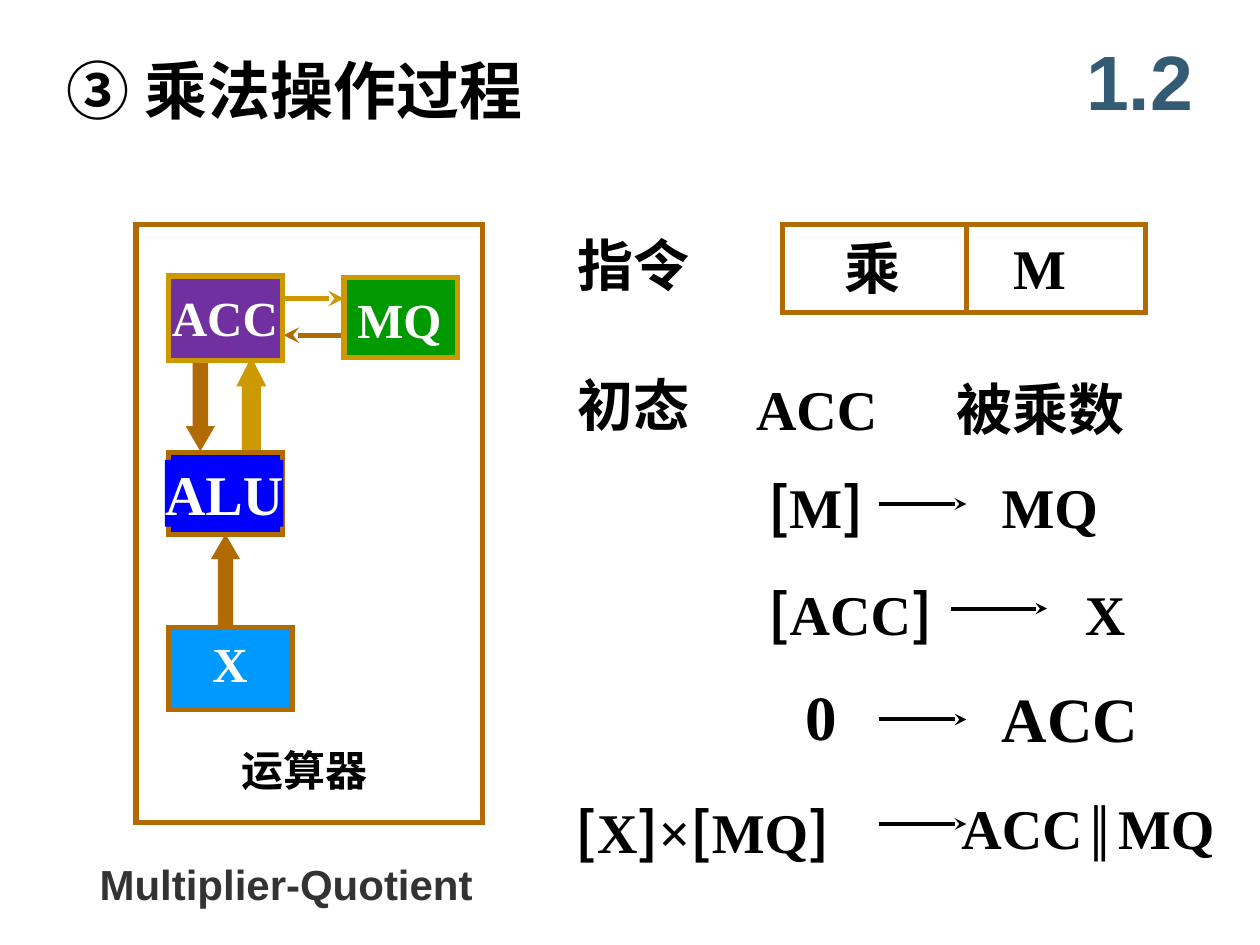
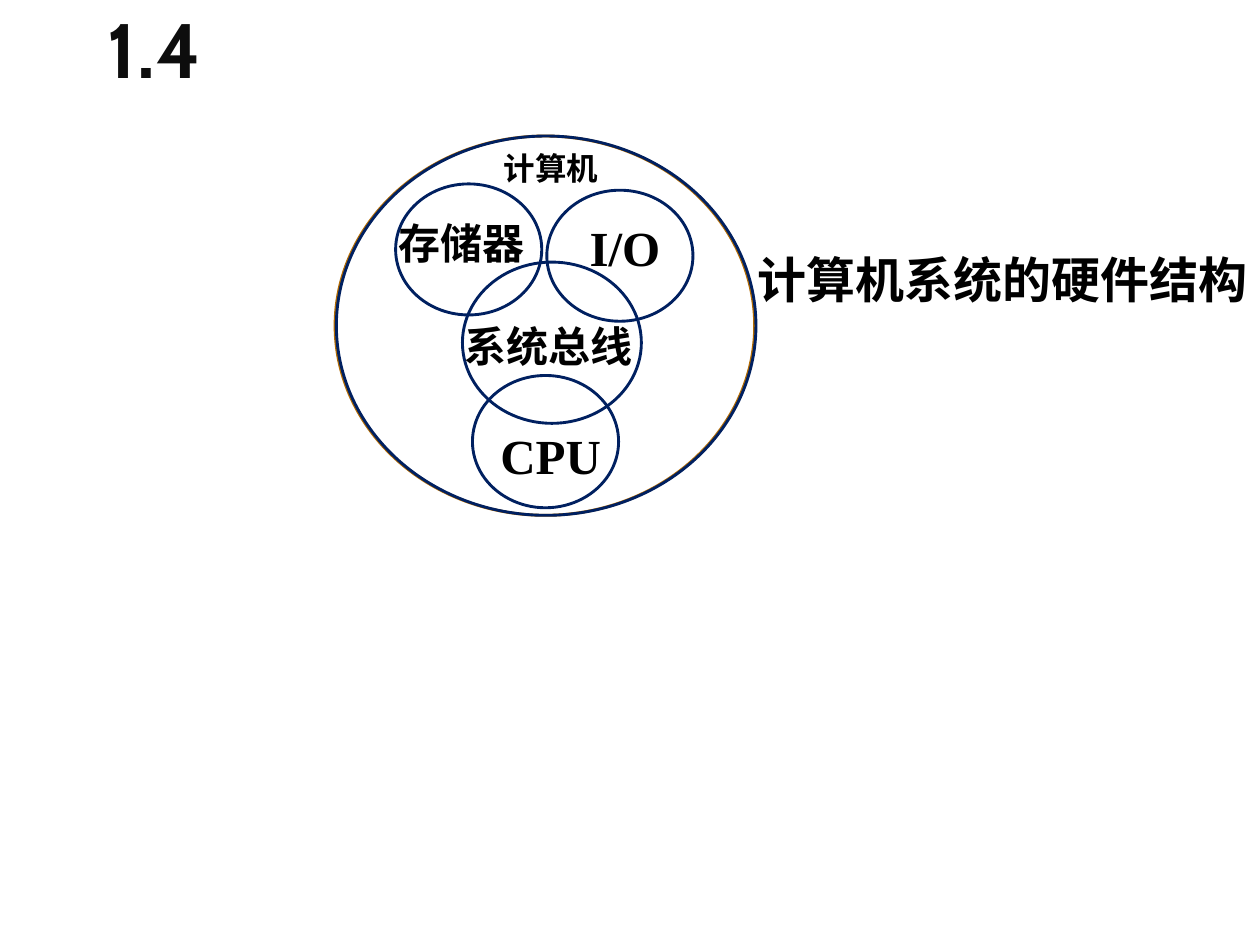
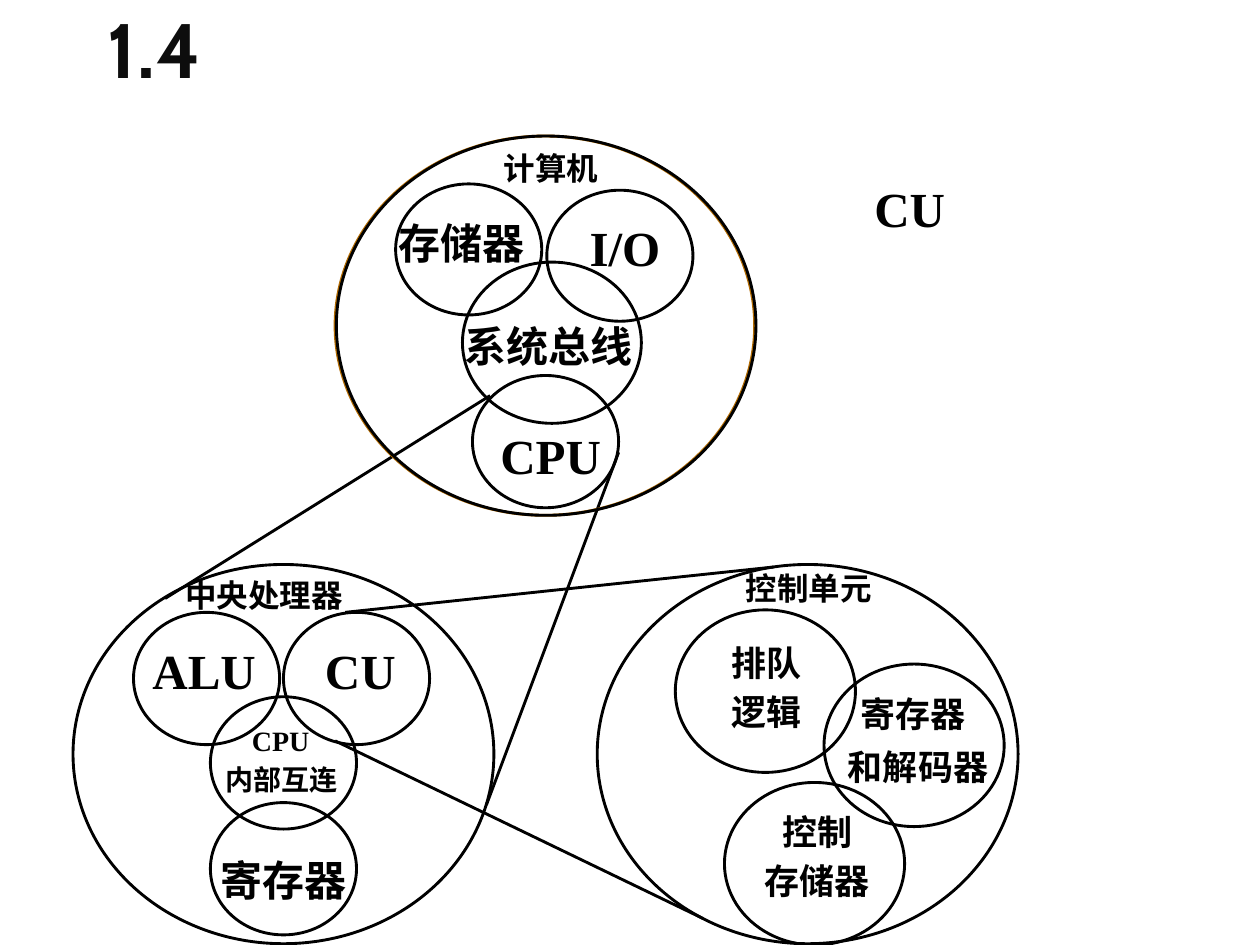
from lxml import etree
from pptx import Presentation, util as u
from pptx.dml import color
from pptx.enum import shapes, text
from pptx.oxml import ns

PX = 9144
HAN, SERIF, SANS, HEADING = "Noto Sans CJK SC", "Times New Roman", "Arial", "Cabin"
BLACK, WHITE, NAVY, BROWN, GOLD = "000000", "FFFFFF", "002060", "B26B02", "CC9900"
PURPLE, BLUE, SKY, GREEN = "7030A0", "0000FF", "0099FF", "009900"
LEFT, CENTER = text.PP_ALIGN.LEFT, text.PP_ALIGN.CENTER
RECT, OVAL, UP = (shapes.MSO_SHAPE.RECTANGLE, shapes.MSO_SHAPE.OVAL,
                  shapes.MSO_SHAPE.UP_ARROW)
THIN, MEDIUM, THICK = 1.63, 2.25, 3


def rgb(value):
    return color.RGBColor.from_string(value)


def px(*lengths):
    return [u.Emu(length * PX) for length in lengths]


class Deck:
    """Holds the shared style and the slide being drawn."""

    def __init__(self):
        self.prs = Presentation()
        self.prs.slide_width, self.prs.slide_height = px(1000, 750)

    def new_slide(self):
        self.slide = self.prs.slides.add_slide(self.prs.slide_layouts[6])

    def label(self, box, lines, size, font=HAN, ink=BLACK, align=LEFT,
              middle=False, spacing=None, tab=None, tracking=0):
        frame = self.slide.shapes.add_textbox(*px(*box)).text_frame
        frame.margin_left = frame.margin_right = 0
        frame.margin_top = frame.margin_bottom = 0
        frame.word_wrap = middle
        if middle:
            frame.vertical_anchor = text.MSO_ANCHOR.MIDDLE
        else:
            frame.auto_size = text.MSO_AUTO_SIZE.SHAPE_TO_FIT_TEXT
        for number, line in enumerate([lines] if isinstance(lines, str) else lines):
            paragraph = frame.add_paragraph() if number else frame.paragraphs[0]
            self.fill_line(paragraph, line, size, font, ink, tab, tracking)
            paragraph.alignment = align
            if number:
                paragraph.space_before = u.Pt(size * 0.2)
            if spacing:
                paragraph.line_spacing = spacing

    def fill_line(self, paragraph, line, size, font, ink, tab, tracking):
        properties = paragraph._p.get_or_add_pPr()
        if tab:
            stops = etree.SubElement(properties, ns.qn("a:tabLst"))
            etree.SubElement(stops, ns.qn("a:tab"), pos=str(tab * PX), algn="l")
        style = paragraph.font
        style.size, style.bold, style.name = u.Pt(size), True, font
        style.color.rgb = rgb(ink)
        defaults = properties.find(ns.qn("a:defRPr"))
        etree.SubElement(defaults, ns.qn("a:ea"), typeface=HAN)
        if tracking:
            defaults.set("spc", str(tracking))
        for piece in [(line, font, size)] if isinstance(line, str) else line:
            run = paragraph.add_run()
            run.text = piece[0]
            if piece[1] != font:
                run.font.name = piece[1]
            if piece[2] != size:
                run.font.size = u.Pt(piece[2])

    def outline(self, kind, box, line, width, fill=None, turn=0, adjust=()):
        shape = self.slide.shapes.add_shape(kind, *px(*box))
        shape.shadow.inherit = False
        shape.rotation = turn
        for index, value in enumerate(adjust):
            shape.adjustments[index] = value
        if fill:
            shape.fill.solid()
            shape.fill.fore_color.rgb = rgb(fill)
        else:
            shape.fill.background()
        if line:
            shape.line.color.rgb = rgb(line)
            shape.line.width = u.Pt(width)
            etree.SubElement(shape._element.spPr.find(ns.qn("a:ln")),
                             ns.qn("a:miter"), lim="800000")
        else:
            shape.line.fill.background()

    def line(self, ends, ink, width, arrow=False):
        connector = self.slide.shapes.add_connector(
            shapes.MSO_CONNECTOR.STRAIGHT, *px(*ends))
        connector.line.color.rgb = rgb(ink)
        connector.line.width = u.Pt(width)
        properties = connector._element.spPr
        if arrow:
            etree.SubElement(properties.find(ns.qn("a:ln")), ns.qn("a:tailEnd"),
                             type="stealth")
        etree.SubElement(properties, ns.qn("a:effectLst"))

    def circles(self, boxes, ink):
        for box in boxes:
            self.outline(OVAL, box, ink, THIN)

    def section(self, number):
        self.label((85, -13, 830, 115), number, 44, HEADING, "0D0D0D",
                   middle=True, spacing=0.8, tracking=100)


def bracketed(*names):
    return [piece for name in names
            for piece in (("[", HAN, 32), (name, SERIF, 32), ("]", HAN, 32))]


def arithmetic_unit(deck):
    deck.outline(RECT, (108, 178, 275, 475), BROWN, THICK)
    deck.label((192, 591, 101, 40), "运算器", 24)
    deck.line((273, 266, 225, 266), BROWN, THICK, arrow=True)
    deck.line((225, 237, 273, 237), GOLD, THICK, arrow=True)
    for box, turn in (((171, 428, 16, 69), 0), ((151, 285, 16, 69), 180)):
        deck.outline(UP, box, BROWN, THICK, BROWN, turn, (0.5, 0.86))
    deck.outline(UP, (191, 288, 17, 67), GOLD, THICK, GOLD, adjust=(0.64, 0.98))
    for name, box, edge, fill, patch, size in (
            ("X", (134, 498, 98, 65), BROWN, SKY, (167, 503, 31, 47), 28),
            ("ALU", (134, 359, 90, 65), BROWN, BLUE, (131, 365, 94, 53), 32),
            ("ACC", (134, 219, 90, 67), GOLD, PURPLE, (136, 228, 85, 48), 28),
            ("MQ", (273, 220, 90, 64), GOLD, GREEN, (283, 230, 68, 48), 28)):
        deck.outline(RECT, box, edge, THICK, fill)
        deck.outline(RECT, patch, None, 0, fill)
        deck.label(patch, name, size, SERIF, WHITE, CENTER)
    deck.label((79, 681, 299, 41), "Multiplier-Quotient", 24, SANS, "333333")


def multiplication(deck):
    deck.new_slide()
    deck.label((53, 41, 365, 60), "③ 乘法操作过程", 36)
    deck.label((852, 17, 105, 92), "1.2", 44, SANS, "335B74", CENTER, middle=True)
    arithmetic_unit(deck)

    deck.label((458, 183, 112, 53), "指令", 32)
    deck.outline(RECT, (621, 178, 288, 70), BROWN, THICK)
    deck.line((767, 177, 767, 249), BROWN, THICK)
    deck.label((670, 185, 45, 53), "乘", 32)
    deck.label((804, 185, 42, 53), "M", 32, SERIF)

    deck.label((458, 294, 112, 53), "初态", 32)
    deck.label((600, 297, 331, 53), [[("ACC\t", SERIF, 32), ("被乘数", HAN, 32)]],
               32, tab=159)
    deck.label((604, 375, 87, 53), [bracketed("M")], 32, align=CENTER)
    deck.label((795, 375, 77, 53), "MQ", 32, SERIF)
    deck.label((596, 460, 158, 53), [bracketed("ACC")], 32, align=CENTER)
    deck.label((861, 460, 38, 53), "X", 32, SERIF)
    deck.label((639, 538, 25, 60), "0", 36, SERIF)
    deck.label((795, 539, 112, 60), "ACC", 36, SERIF)
    product = bracketed("X", "MQ")
    product.insert(3, ("×", SERIF, 32))
    deck.label((457, 633, 242, 53), [product], 32)
    deck.label((763, 630, 212, 53),
               [[("ACC", SERIF, 32), ("∥", SERIF, 28), ("MQ", SERIF, 32)]], 32, SERIF)
    for start, end, y in ((698, 767, 400), (755, 831, 483), (698, 767, 571),
                          (698, 767, 654)):
        deck.line((start, y, end, y), BLACK, MEDIUM, arrow=True)


def computer(deck, ink):
    deck.label((400, 118, 76, 30), "计算机", 18)
    deck.circles([(266, 108, 333, 301)], BROWN)
    deck.circles([(367, 208, 142, 128), (314, 146, 116, 104), (434, 151, 116, 104),
                  (375, 298, 116, 105), (267, 108, 333, 301)], ink)
    deck.label((455, 173, 82, 47), "I/O", 28, SERIF, align=CENTER)
    deck.label((368, 254, 135, 40), "系统总线", 24, align=CENTER)
    deck.label((316, 173, 101, 40), "存储器", 24)
    deck.label((397, 338, 80, 47), "CPU", 28, SERIF, align=CENTER)


def hardware(deck):
    deck.new_slide()
    deck.section("1.4")
    deck.label((601, 198, 389, 47), "计算机系统的硬件结构", 28, align=CENTER)
    computer(deck, NAVY)


def processor(deck):
    deck.circles([(167, 553, 116, 105), (106, 486, 116, 105), (225, 486, 116, 105),
                  (167, 637, 116, 105), (58, 448, 334, 301)], BLACK)
    deck.label((147, 457, 125, 30), "中央处理器", 18)
    deck.label((121, 508, 82, 47), "ALU", 28, SERIF, align=CENTER)
    deck.label((256, 508, 60, 47), "CU", 28, SERIF, align=CENTER)
    deck.label((200, 574, 46, 27), "CPU", 16, SERIF)
    deck.label((179, 605, 89, 27), "内部互连", 16)
    deck.label((175, 678, 101, 40), "寄存器", 24)


def control_unit(deck):
    deck.circles([(654, 527, 143, 129), (536, 484, 143, 129), (575, 621, 143, 129),
                  (474, 448, 334, 301)], BLACK)
    deck.label((592, 452, 100, 30), "控制单元", 18)
    deck.label((541, 509, 135, 73), ["排队", "逻辑"], 20, align=CENTER)
    deck.label((683, 550, 84, 33), "寄存器", 20)
    deck.label((673, 592, 112, 33), "和解码器", 20)
    deck.label((589, 643, 119, 73), ["控制", "存储器"], 20, align=CENTER)


def decomposition(deck):
    deck.new_slide()
    deck.section("1.4")
    processor(deck)
    control_unit(deck)
    for zoom in ((389, 314, 131, 475), (491, 359, 386, 639),
                 (266, 588, 558, 729), (274, 486, 614, 450)):
        deck.line(zoom, BLACK, THIN)
    deck.label((694, 142, 60, 47), "CU", 28, SERIF)
    computer(deck, BLACK)


def main():
    deck = Deck()
    multiplication(deck)
    hardware(deck)
    decomposition(deck)
    deck.prs.save("out.pptx")


if __name__ == "__main__":
    main()
